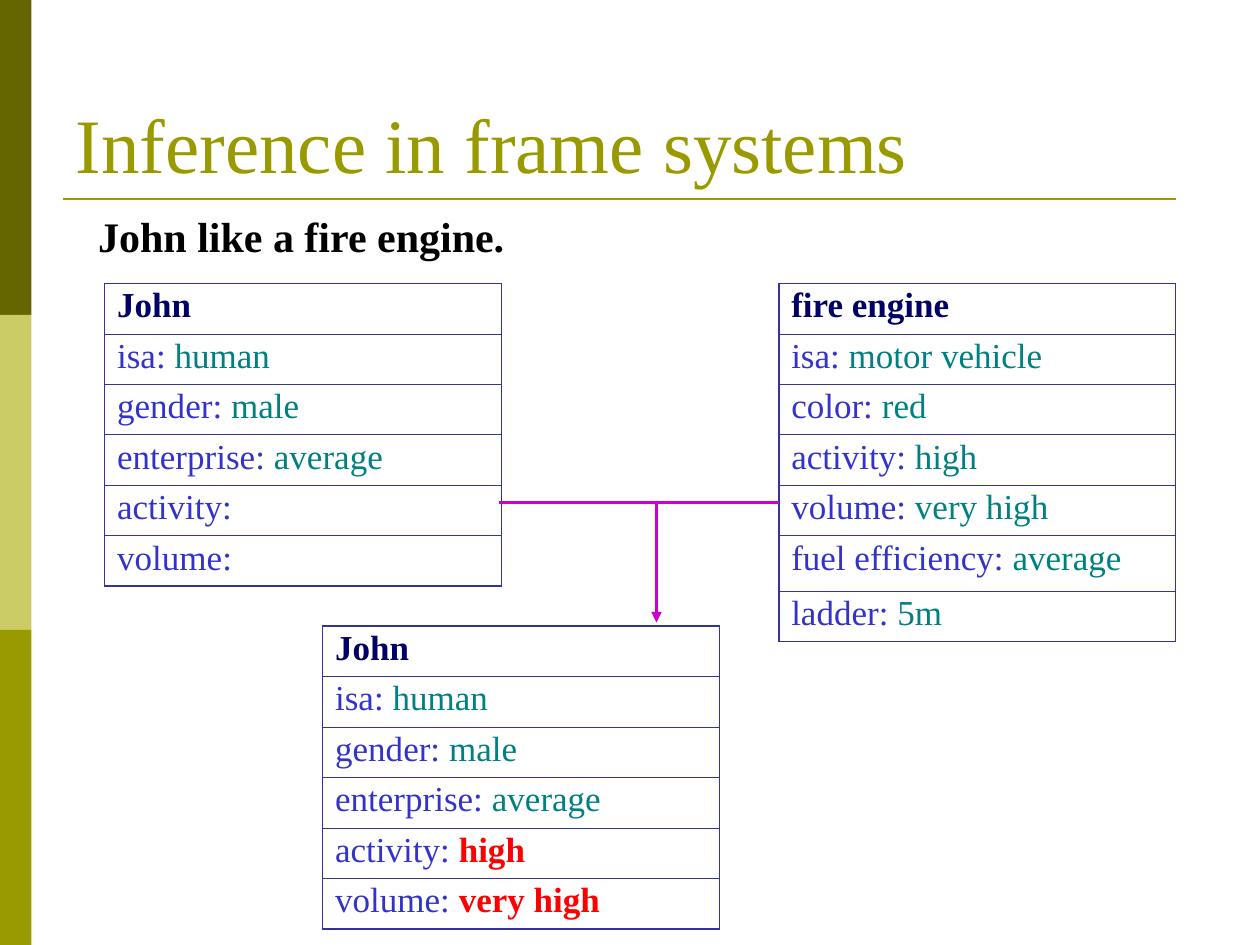
from dataclasses import dataclass

from lxml.etree import SubElement
from pptx import Presentation
from pptx.dml.color import RGBColor
from pptx.enum.shapes import MSO_CONNECTOR, MSO_SHAPE
from pptx.enum.text import MSO_ANCHOR, PP_ALIGN
from pptx.oxml import parse_xml
from pptx.oxml.ns import nsdecls, qn
from pptx.util import Inches, Pt

COLS, ROWS = 40, 30
WIDE, HIGH = Inches(10), Inches(7.5)
FONT = "Times New Roman"
OLIVE, NAVY, BLUE, TEAL = "999900", "000066", "3333CC", "008080"
RED, EDGE, PINK = "FF0000", "333399", "CC00CC"


@dataclass
class Slot:
    name: str
    value: str = ""
    new: bool = False


@dataclass
class Frame:
    col: float
    row: float
    title: str
    slots: list[Slot]


@dataclass
class Line:
    start: tuple[float, float]
    end: tuple[float, float]
    color: str = PINK
    width: float = 2
    arrow: bool = False


HUMAN = [Slot("isa: ", "human"), Slot("gender: ", "male"), Slot("enterprise: ", "average")]
FRAMES = [
    Frame(3.32, 9, "John", HUMAN + [Slot("activity:"), Slot("volume:")]),
    Frame(24.72, 9, "fire engine", [
        Slot("isa: ", "motor vehicle"), Slot("color: ", "red"),
        Slot("activity: ", "high"), Slot("volume: ", "very high"),
        Slot("fuel efficiency: ", "average"), Slot("ladder:", " 5m"),
    ]),
    Frame(10.24, 19.88, "John", HUMAN + [
        Slot("activity: ", "high", True), Slot("volume: ", "very high", True),
    ]),
]
LINES = [
    Line((2, 6.32), (37.32, 6.32), OLIVE, 1.5),
    Line((20.92, 15.96), (15.84, 15.96)),
    Line((20.84, 16), (20.84, 19.76), arrow=True),
    Line((24.72, 15.96), (20.64, 15.96)),
]
BANDS = ["666600", "CCCC66", OLIVE]
WIDTH, STEP, TALL = 12.6, 1.6, 1.76


def hue(code: str) -> RGBColor:
    return RGBColor.from_string(code)


def across(cols: float) -> int:
    return round(WIDE * cols / COLS)


def down(rows: float) -> int:
    return round(HIGH * rows / ROWS)


def area(col: float, row: float, wide: float, high: float) -> tuple:
    return across(col), down(row), across(wide), down(high)


def style(run, size: float, color: str, bold: bool = False) -> None:
    font = run.font
    font.name, font.size, font.bold = FONT, Pt(size), bold
    font.color.rgb = hue(color)


def band(slide, spot: int, color: str) -> None:
    high = ROWS / len(BANDS)
    bar = slide.shapes.add_shape(MSO_SHAPE.RECTANGLE, *area(0, spot * high, 1, high))
    bar.shadow.inherit = False
    bar.fill.solid()
    bar.fill.fore_color.rgb = hue(color)
    bar.line.fill.background()


def draw(slide, line: Line) -> None:
    (left, top), (right, base) = line.start, line.end
    link = slide.shapes.add_connector(
        MSO_CONNECTOR.STRAIGHT, across(left), down(top), across(right), down(base))
    link.line.color.rgb = hue(line.color)
    link.line.width = Pt(line.width)
    if line.arrow:
        SubElement(link.line._get_or_add_ln(), qn("a:tailEnd"), type="triangle")
    SubElement(link._element.spPr, qn("a:effectLst"))


def border(cell, first: bool, last: bool) -> None:
    thick, thin = 1.08, 0.45
    sides = {"L": thick, "R": thick, "T": thick if first else thin, "B": thick if last else thin}
    for spot, (side, width) in enumerate(sides.items()):
        edge = parse_xml(
            f'<a:ln{side} {nsdecls("a")} w="{Pt(width)}"><a:solidFill>'
            f'<a:srgbClr val="{EDGE}"/></a:solidFill></a:ln{side}>')
        cell._tc.get_or_add_tcPr().insert(spot, edge)


def fill(cell, parts: list[tuple[str, str, bool]]) -> None:
    cell.fill.background()
    para = cell.text_frame.paragraphs[0]
    para.line_spacing = 0.9
    for text, color, bold in parts:
        run = para.add_run()
        run.text = text
        style(run, 20, color, bold)


def table(slide, frame: Frame) -> None:
    lines = [[(frame.title, NAVY, True)]]
    for slot in frame.slots:
        parts = [(slot.name, BLUE, False)]
        if slot.value:
            parts.append((slot.value, RED if slot.new else TEAL, slot.new))
        lines.append(parts)
    count = len(lines)
    grid = slide.shapes.add_table(
        count, 1, *area(frame.col, frame.row, WIDTH, STEP * count)).table
    grid.first_row = grid.horz_banding = False
    for spot, parts in enumerate(lines):
        tall = parts[0][0].startswith("fuel")
        grid.rows[spot].height = down(TALL if tall else STEP)
        cell = grid.cell(spot, 0)
        fill(cell, parts)
        border(cell, spot == 0, spot == count - 1)


def head(slide) -> None:
    title = slide.shapes.title
    title.left, title.top, title.width, title.height = area(2, 1.2, 36, 5)
    title.text_frame.text = "Inference in frame systems"
    title.text_frame.vertical_anchor = MSO_ANCHOR.BOTTOM
    para = title.text_frame.paragraphs[0]
    para.alignment = PP_ALIGN.LEFT
    style(para.runs[0], 44, OLIVE)


def lead(slide) -> None:
    body = slide.shapes.add_textbox(*area(2.72, 6.48, 17, 2)).text_frame
    body.word_wrap = True
    body.text = "John like a fire engine."
    para = body.paragraphs[0]
    para.space_before = Pt(15)
    style(para.runs[0], 24, "000000", True)


def main() -> None:
    deck = Presentation()
    deck.slide_width, deck.slide_height = WIDE, HIGH
    slide = deck.slides.add_slide(deck.slide_layouts[5])
    for spot, color in enumerate(BANDS):
        band(slide, spot, color)
    head(slide)
    lead(slide)
    for frame in FRAMES:
        table(slide, frame)
    for line in LINES:
        draw(slide, line)
    deck.save("out.pptx")


if __name__ == "__main__":
    main()
